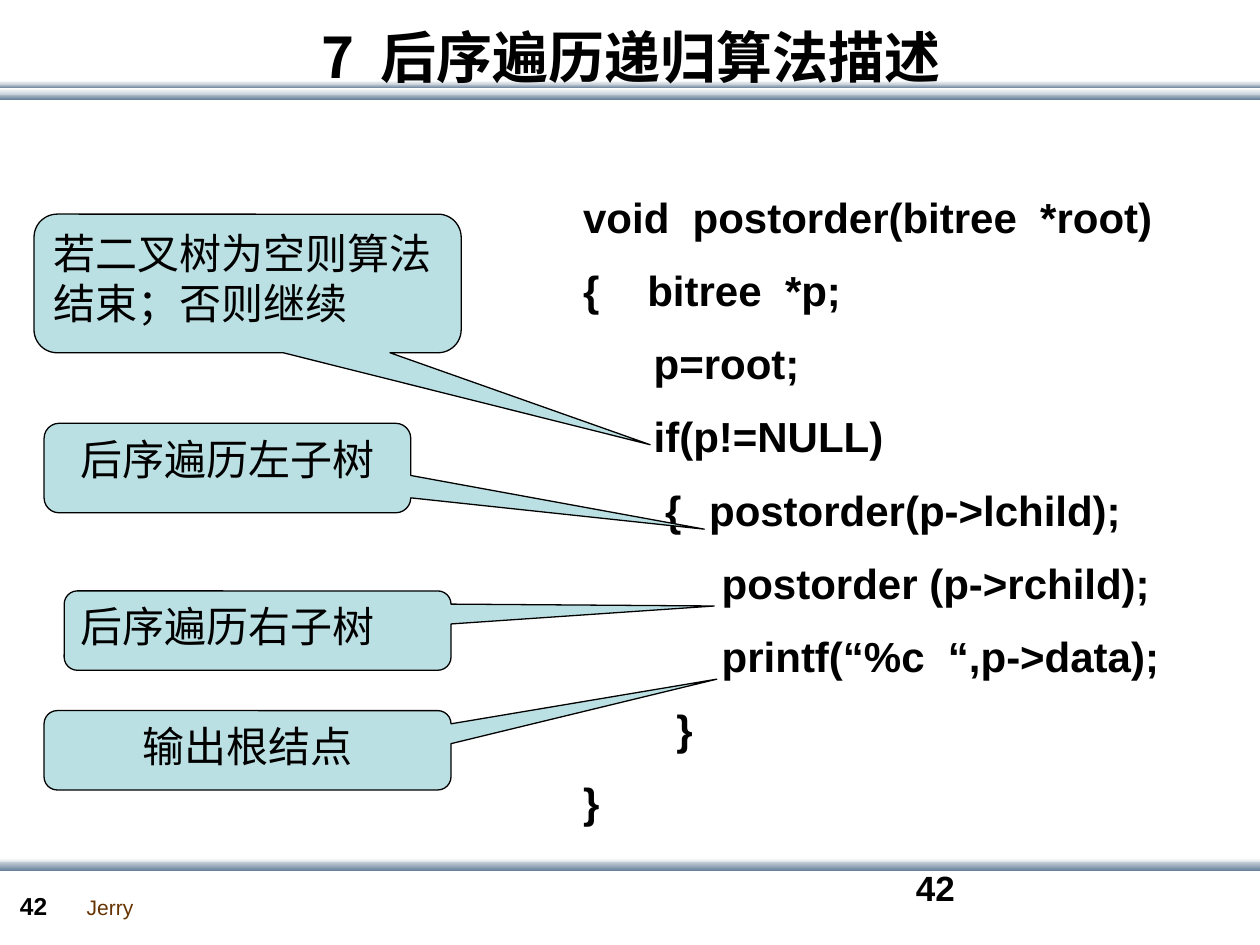
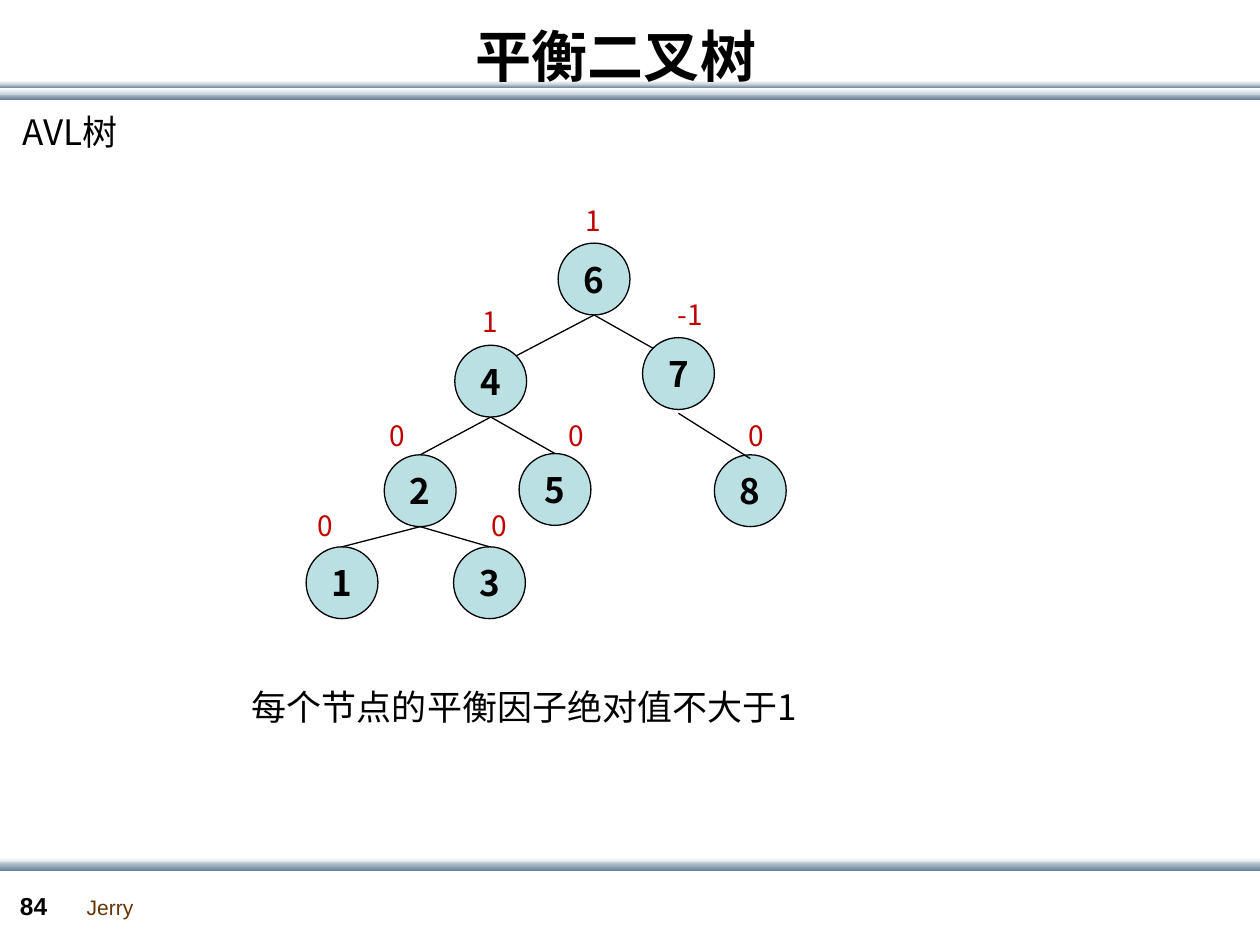
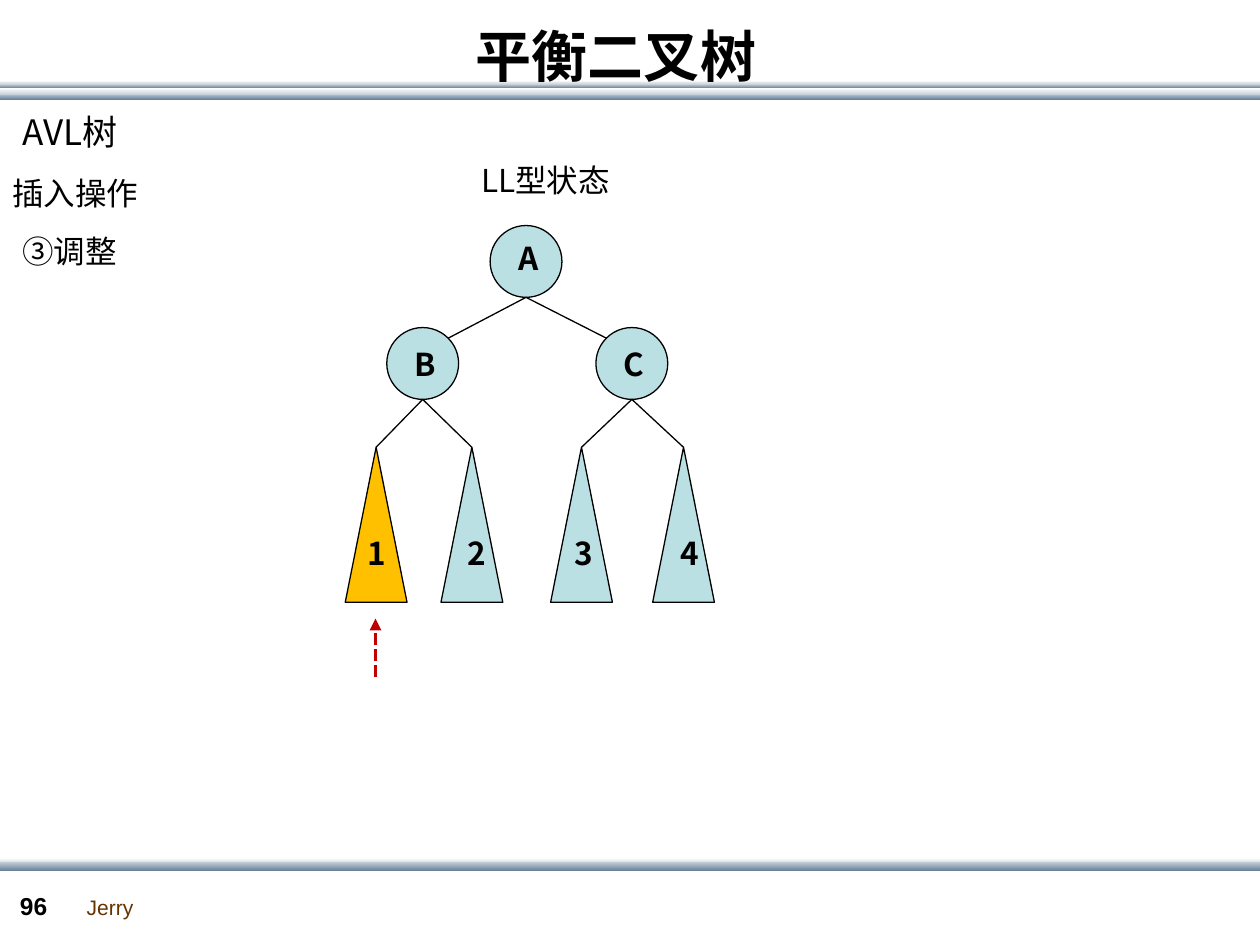
from lxml.etree import SubElement
from pptx import Presentation
from pptx.dml.color import RGBColor
from pptx.enum.dml import MSO_LINE
from pptx.enum.shapes import MSO_CONNECTOR, MSO_SHAPE
from pptx.enum.text import MSO_ANCHOR, PP_ALIGN
from pptx.oxml.ns import qn
from pptx.util import Inches, Pt

BLACK, RED, BROWN = "000000", "C00000", "663300"
AQUA, AMBER = "BBE0E3", "FFC000"
WHITE, MIST, STEEL = "FFFFFF", "C8D1DA", "6A839C"
LATIN, CJK = "Arial", "Noto Sans CJK SC"
NODE = 0.57
WEDGE_W, WEDGE_H, WEDGE_Y = 0.49, 1.23, 3.55

BANDS = [
    (0.74, 0.05, MIST, STEEL),
    (0.67, 0.03, MIST, STEEL),
    (0.70, 0.05, WHITE, MIST),
    (0.64, 0.03, WHITE, MIST),
    (6.81, 0.05, WHITE, MIST),
    (6.84, 0.07, MIST, STEEL),
]
AVL_TITLE = ("平衡二叉树", (0.39, -0.19, 9, 1.25))
AVL_HEAD = ("AVL树", (0.08, 0.83, 1.07, 0.44), 20)

CODE = [
    ("void  postorder(bitree  *root)", 0, 0),
    ("{\tbitree  *p;", 0, 0.51),
    ("p=root;", 0.56, 0.56),
    ("if(p!=NULL)", 0.56, 0.56),
    ("{\tpostorder(p->lchild);", 0.65, 1.0),
    ("postorder (p->rchild);", 1.1, 1.1),
    ("printf(“%c  “,p->data);", 1.1, 1.1),
    ("}", 0.74, 0.74),
    ("}", 0, 0),
]
CALLOUTS = [
    ("若二叉树为空则算法结束；否则继续", (0.27, 1.7, 3.39, 1.1), (5.16, 3.53), PP_ALIGN.LEFT),
    ("后序遍历左子树", (0.35, 3.36, 2.91, 0.71), (5.59, 4.2), PP_ALIGN.CENTER),
    ("输出根结点", (0.35, 5.64, 3.23, 0.63), (5.69, 5.39), PP_ALIGN.CENTER),
    ("后序遍历右子树", (0.51, 4.69, 3.07, 0.63), (5.67, 4.81), PP_ALIGN.LEFT),
]

AVL_NODES = {
    "6": (4.43, 1.93), "4": (3.61, 2.74), "7": (5.1, 2.68), "2": (3.05, 3.61),
    "5": (4.12, 3.6), "8": (5.67, 3.61), "1": (2.43, 4.34), "3": (3.6, 4.34),
}
TOP, TOP_LEFT, TOP_RIGHT = (0.5, 0), (0.15, 0.15), (0.85, 0.15)
AVL_EDGES = [
    ("6", "4", TOP_RIGHT, 0), ("6", "7", TOP_LEFT, 0), ("4", "2", TOP, 0), ("4", "5", TOP, 0),
    ("7", "8", TOP, 0.03), ("2", "1", TOP, 0), ("2", "3", TOP, 0),
]
FACTORS = [
    ("0", 2.42, 3.99), ("0", 3.8, 3.99), ("0", 4.41, 3.27), ("0", 2.99, 3.27),
    ("1", 3.73, 2.37), ("1", 4.55, 1.57), ("-1", 5.28, 2.31), ("0", 5.84, 3.27),
]

LL_HEADS = [
    AVL_HEAD,
    ("插入操作", (0, 1.33, 1.4, 0.4), 18),
    ("③调整", (0.08, 1.79, 0.97, 0.4), 18),
    ("LL型状态", (3.72, 1.23, 1.28, 0.4), 18),
]
LL_NODES = {"A": (3.89, 1.79), "B": (3.07, 2.6), "C": (4.73, 2.6)}
LL_EDGES = [("A", "B", TOP_RIGHT, 0), ("A", "C", TOP_LEFT, 0)]
SUBTREES = [("B", 2.74, AMBER), ("B", 3.5, AQUA), ("C", 4.37, AQUA), ("C", 5.18, AQUA)]
LL_LABELS = [
    ("A", 4.02, 1.85), ("B", 3.19, 2.69), ("C", 4.85, 2.69),
    ("1", 2.82, 4.19), ("2", 3.61, 4.19), ("3", 4.46, 4.19), ("4", 5.3, 4.19),
]


def rgb(color):
    return RGBColor.from_string(color)


def write(sp, lines, size, font=CJK, color=BLACK, bold=False,
          align=PP_ALIGN.LEFT, anchor=MSO_ANCHOR.TOP):
    tf = sp.text_frame
    tf.text = lines
    tf.word_wrap = True
    tf.vertical_anchor = anchor
    for p in tf.paragraphs:
        p.alignment = align
        for r in p.runs:
            r.font.size, r.font.bold, r.font.name = Pt(size), bold, font
            r.font.color.rgb = rgb(color)
            SubElement(r.font._element, qn("a:ea")).set("typeface", font)
    return tf


def add_text(s, text, box, size, **style):
    return write(s.shapes.add_textbox(*map(Inches, box)), text, size, **style)


def add_outlined(s, kind, box, fill=AQUA):
    sp = s.shapes.add_shape(kind, *map(Inches, box))
    sp.shadow.inherit = False
    sp.fill.solid()
    sp.fill.fore_color.rgb = rgb(fill)
    sp.line.color.rgb = rgb(BLACK)
    sp.line.width = Pt(0.75)
    return sp


def add_line(s, start, end, color=BLACK, width=0.75):
    cx = s.shapes.add_connector(MSO_CONNECTOR.STRAIGHT, *map(Inches, (*start, *end)))
    cx.line.color.rgb = rgb(color)
    cx.line.width = Pt(width)
    SubElement(cx._element.spPr, qn("a:effectLst"))
    return cx


def bottom(node):
    return node[0] + NODE / 2, node[1] + NODE


def add_tree(s, nodes, edges, labelled):
    for name, at in nodes.items():
        sp = add_outlined(s, MSO_SHAPE.OVAL, (*at, NODE, NODE))
        if labelled:
            write(sp, name, 20, bold=True, align=PP_ALIGN.CENTER, anchor=MSO_ANCHOR.MIDDLE)
    for parent, child, (fx, fy), drop in edges:
        x, y = bottom(nodes[parent])
        cx, cy = nodes[child]
        add_line(s, (x, y + drop), (cx + fx * NODE, cy + fy * NODE + drop))


def add_slide(prs, number, title, title_box):
    s = prs.slides.add_slide(prs.slide_layouts[6])
    for y, h, upper, lower in BANDS:
        sp = s.shapes.add_shape(MSO_SHAPE.RECTANGLE, 0, Inches(y), Inches(10.01), Inches(h))
        sp.shadow.inherit = False
        sp.line.fill.background()
        sp.fill.gradient()
        sp.fill.gradient_angle = 270
        for stop, color in zip(sp.fill.gradient_stops, (upper, lower)):
            stop.color.rgb = rgb(color)
    add_text(s, "Jerry", (0.59, 7.05, 0.7, 0.3), 12, font=LATIN, color=BROWN)
    add_text(s, number, (0.06, 7.02, 0.55, 0.33), 14, font=LATIN, bold=True)
    add_text(s, title, title_box, 32, bold=True,
             align=PP_ALIGN.CENTER, anchor=MSO_ANCHOR.MIDDLE)
    return s


def postorder_slide(prs):
    s = add_slide(prs, "42", "7  后序遍历递归算法描述", (0.51, 0.06, 9, 0.77))
    add_text(s, "42", (7.17, 6.83, 2.33, 0.5), 20, font=LATIN, bold=True)
    tf = add_text(s, "\n".join(line for line, _, _ in CODE), (4.53, 1.47, 4.96, 5.29),
                  24, font=LATIN, bold=True)
    for p, (_, first, margin) in zip(tf.paragraphs, CODE):
        p.space_before = Pt(13)
        pPr = p._p.get_or_add_pPr()
        pPr.set("marL", str(Inches(margin)))
        pPr.set("indent", str(Inches(first - margin)))
    for text, (x, y, w, h), (tip_x, tip_y), align in CALLOUTS:
        sp = add_outlined(s, MSO_SHAPE.ROUNDED_RECTANGULAR_CALLOUT, (x, y, w, h))
        sp.adjustments[0] = (tip_x - x) / w - 0.5
        sp.adjustments[1] = (tip_y - y) / h - 0.5
        write(sp, text, 24, font=LATIN, align=align)


def avl_slide(prs):
    s = add_slide(prs, "84", *AVL_TITLE)
    add_text(s, *AVL_HEAD)
    add_tree(s, AVL_NODES, AVL_EDGES, True)
    for factor, x, y in FACTORS:
        add_text(s, factor, (x, y, 0.15 + 0.14 * len(factor), 0.37), 16, color=RED)
    add_text(s, "每个节点的平衡因子绝对值不大于1", (1.9, 5.39, 5, 0.44), 20)


def ll_slide(prs):
    s = add_slide(prs, "96", *AVL_TITLE)
    for head in LL_HEADS:
        add_text(s, *head)
    add_tree(s, LL_NODES, LL_EDGES, False)
    for parent, x, fill in SUBTREES:
        add_outlined(s, MSO_SHAPE.ISOSCELES_TRIANGLE, (x, WEDGE_Y, WEDGE_W, WEDGE_H), fill)
        add_line(s, bottom(LL_NODES[parent]), (x + WEDGE_W / 2, WEDGE_Y))
    for label, x, y in LL_LABELS:
        add_text(s, label, (x, y, 0.32, 0.4), 18, bold=True)
    arrow = add_line(s, (2.98, 5.37), (2.98, 4.91), RED, 2.25)
    arrow.line.dash_style = MSO_LINE.SQUARE_DOT
    SubElement(arrow.line._get_or_add_ln(), qn("a:tailEnd")).set("type", "triangle")


def main():
    prs = Presentation()
    prs.slide_width, prs.slide_height = Inches(10), Inches(7.5)
    postorder_slide(prs)
    avl_slide(prs)
    ll_slide(prs)
    prs.save("out.pptx")


if __name__ == "__main__":
    main()
